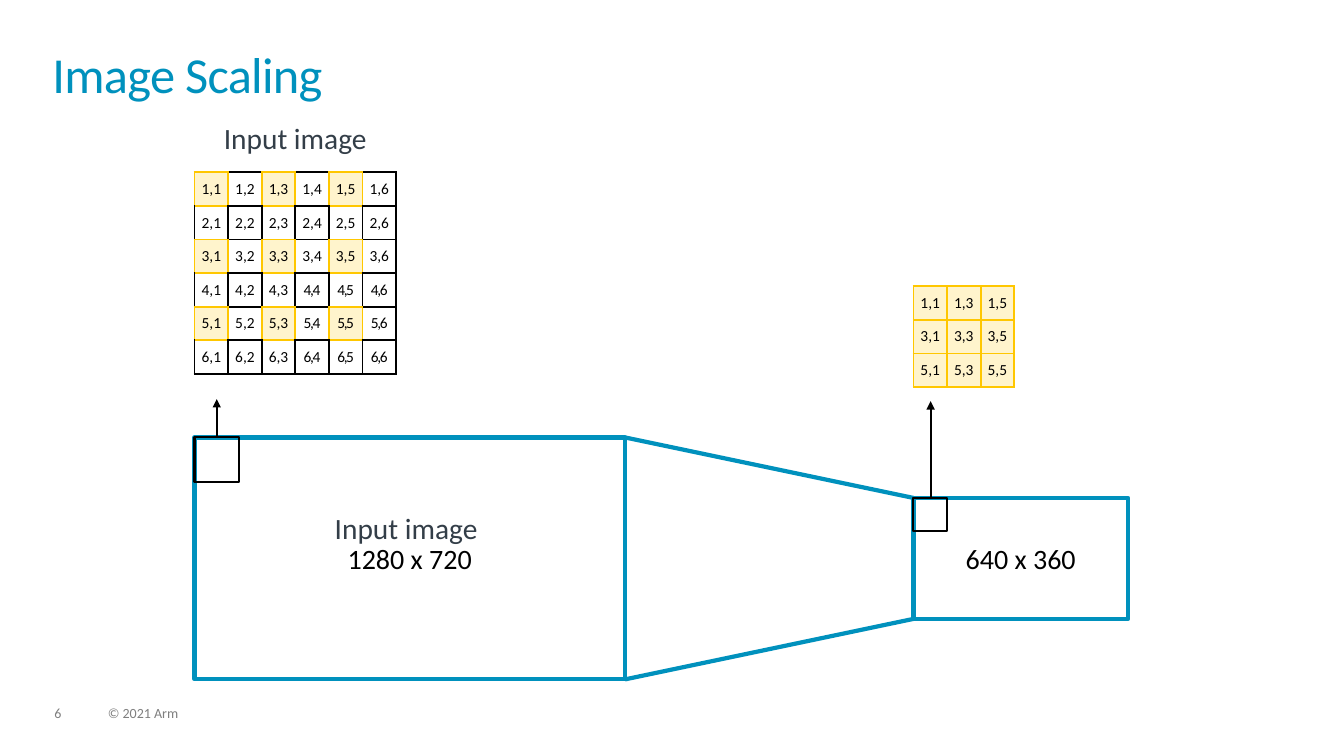
import dataclasses

import lxml.etree
import pptx
import pptx.dml.color
import pptx.enum.shapes
import pptx.enum.text
import pptx.oxml.ns
import pptx.util

Inches = pptx.util.Inches
Pt = pptx.util.Pt
qn = pptx.oxml.ns.qn


@dataclasses.dataclass(frozen=True)
class Theme:
    font: str = "Calibri"
    blue: str = "0091BD"
    slate: str = "333E48"
    black: str = "000000"
    gray: str = "7F7F7F"
    gold: str = "FFC700"
    pale_gold: str = "FFF4CC"
    title_size: float = 36
    caption_size: float = 21
    frame_size: float = 20
    pixel_size: float = 11
    footer_size: float = 10
    thick: float = 3
    thin: float = 1.5


def color_of(value):
    return pptx.dml.color.RGBColor.from_string(value)


class SlideBuilder:
    def __init__(self, slide, theme):
        self.slide = slide
        self.theme = theme

    def add_run(self, paragraph, text, size, color, spacing=0):
        run = paragraph.add_run()
        run.text = text
        run.font.name = self.theme.font
        run.font.size = Pt(size)
        run.font.color.rgb = color_of(color)
        if spacing:
            run._r.get_or_add_rPr().set("spc", str(round(spacing * 100)))

    def text(self, left, top, width, height, text, size, color,
             line_spacing=0.9, space_after=6, spacing=0, wrap=True, grow=True):
        shape = self.slide.shapes.add_textbox(
            Inches(left), Inches(top), Inches(width), Inches(height))
        frame = shape.text_frame
        frame.margin_left = frame.margin_right = Inches(0)
        frame.margin_top = frame.margin_bottom = Inches(0)
        frame.word_wrap = wrap
        if grow:
            frame.auto_size = pptx.enum.text.MSO_AUTO_SIZE.SHAPE_TO_FIT_TEXT
        paragraph = frame.paragraphs[0]
        paragraph.line_spacing = line_spacing
        paragraph.space_after = Pt(space_after)
        self.add_run(paragraph, text, size, color, spacing)

    def rectangle(self, left, top, width, height, color, weight, text=""):
        shape = self.slide.shapes.add_shape(
            pptx.enum.shapes.MSO_SHAPE.RECTANGLE,
            Inches(left), Inches(top), Inches(width), Inches(height))
        shape.shadow.inherit = False
        shape.fill.background()
        shape.line.color.rgb = color_of(color)
        shape.line.width = Pt(weight)
        if text:
            shape.text_frame.vertical_anchor = pptx.enum.text.MSO_ANCHOR.MIDDLE
            paragraph = shape.text_frame.paragraphs[0]
            paragraph.alignment = pptx.enum.text.PP_ALIGN.CENTER
            self.add_run(paragraph, text, self.theme.frame_size, self.theme.black)

    def line(self, start, end, color, weight, arrow=False):
        connector = self.slide.shapes.add_connector(
            pptx.enum.shapes.MSO_CONNECTOR.STRAIGHT,
            Inches(start[0]), Inches(start[1]), Inches(end[0]), Inches(end[1]))
        connector.line.color.rgb = color_of(color)
        connector.line.width = Pt(weight)
        if arrow:
            outline = connector.line._get_or_add_ln()
            lxml.etree.SubElement(outline, qn("a:tailEnd"), type="triangle")
        lxml.etree.SubElement(connector._element.spPr, qn("a:effectLst"))

    def border(self, cell, side, color):
        outline = lxml.etree.SubElement(
            cell._tc.get_or_add_tcPr(), qn("a:ln" + side),
            w=str(Pt(self.theme.thin)), cap="flat", cmpd="sng", algn="ctr")
        fill = lxml.etree.SubElement(outline, qn("a:solidFill"))
        lxml.etree.SubElement(fill, qn("a:srgbClr"), val=color)
        lxml.etree.SubElement(outline, qn("a:prstDash"), val="solid")

    def pixel_grid(self, left, top, side, labels, is_sampled, spacing_of):
        """Draw a square table; labels holds rows of (row, column) pixels."""
        count = len(labels)
        table = self.slide.shapes.add_table(
            count, count, Inches(left), Inches(top), Inches(side), Inches(side)).table
        table.first_row = False
        table.horz_banding = False
        for index in range(count):
            table.columns[index].width = Inches(side / count)
            table.rows[index].height = Inches(side / count)
        neighbours = {"L": (0, -1), "R": (0, 1), "T": (-1, 0), "B": (1, 0)}

        for row, pixels in enumerate(labels):
            for column, pixel in enumerate(pixels):
                cell = table.cell(row, column)
                cell.margin_left = cell.margin_right = Inches(0.06)
                cell.margin_top = cell.margin_bottom = Inches(0.03)
                cell.vertical_anchor = pptx.enum.text.MSO_ANCHOR.MIDDLE
                paragraph = cell.text_frame.paragraphs[0]
                paragraph.alignment = pptx.enum.text.PP_ALIGN.CENTER
                self.add_run(paragraph, f"{pixel[0]},{pixel[1]}",
                             self.theme.pixel_size, self.theme.black, spacing_of(pixel))

                # An edge is gold when it touches a sampled pixel
                sampled = is_sampled(row, column)
                for edge, (down, across) in neighbours.items():
                    gold = sampled or is_sampled(row + down, column + across)
                    self.border(cell, edge, self.theme.gold if gold else self.theme.black)
                if sampled:
                    cell.fill.solid()
                    cell.fill.fore_color.rgb = color_of(self.theme.pale_gold)
                else:
                    cell.fill.background()


def main():
    presentation = pptx.Presentation()
    presentation.slide_width = Inches(13.33)
    presentation.slide_height = Inches(7.5)
    slide = presentation.slides.add_slide(presentation.slide_layouts[6])
    theme = Theme()
    builder = SlideBuilder(slide, theme)

    # Footer and title
    builder.text(0.54, 7.01, 0.34, 0.15, "6", theme.footer_size, theme.gray)
    builder.text(1.07, 7.01, 5.07, 0.15, "© 2021 Arm", theme.footer_size, theme.gray)
    builder.text(0.52, 0.52, 12.28, 0.72, "Image Scaling", theme.title_size, theme.blue,
                 line_spacing=0.85, space_after=0, spacing=-0.5, grow=False)

    # Input and scaled frames, joined by two slanted lines
    input_left, input_top, input_width, input_height = 1.93, 4.34, 4.27, 2.4
    scaled_left, scaled_top, scaled_width, scaled_height = 9.06, 4.94, 2.13, 1.2
    builder.rectangle(input_left, input_top, input_width, input_height,
                      theme.blue, theme.thick, "1280 x 720")
    builder.rectangle(scaled_left, scaled_top, scaled_width, scaled_height,
                      theme.blue, theme.thick, "640 x 360")
    input_right = input_left + input_width
    for start_y, end_y in ((input_top, scaled_top),
                           (input_top + input_height, scaled_top + scaled_height)):
        builder.line((input_right, start_y), (scaled_left, end_y), theme.blue, theme.thick)

    # Pixel grids: every second pixel of the input is kept
    input_pixels = [[(row, column) for column in range(1, 7)] for row in range(1, 7)]
    kept_pixels = [row[::2] for row in input_pixels[::2]]
    builder.pixel_grid(
        input_left, 1.71, 2, input_pixels,
        lambda row, column: row in (0, 2, 4) and column in (0, 2, 4),
        lambda pixel: -1 if min(pixel) >= 4 else 0)
    builder.pixel_grid(scaled_left, 2.84, 1, kept_pixels,
                       lambda row, column: True, lambda pixel: 0)

    # Corner windows with arrows up to their grids
    for left, top, side, arrow_x, arrow_top in (
            (input_left, input_top, 0.44, 2.15, 3.96),
            (scaled_left, scaled_top, 0.33, 9.23, 3.98)):
        builder.rectangle(left, top, side, side, theme.black, theme.thin)
        builder.line((arrow_x, top), (arrow_x, arrow_top), theme.black, theme.thin, arrow=True)

    # Captions
    for left, top in ((2.22, 1.23), (3.32, 5.1)):
        builder.text(left, top, 1.43, 0.32, "Input image",
                     theme.caption_size, theme.slate, wrap=False)

    presentation.save("out.pptx")


if __name__ == "__main__":
    main()
